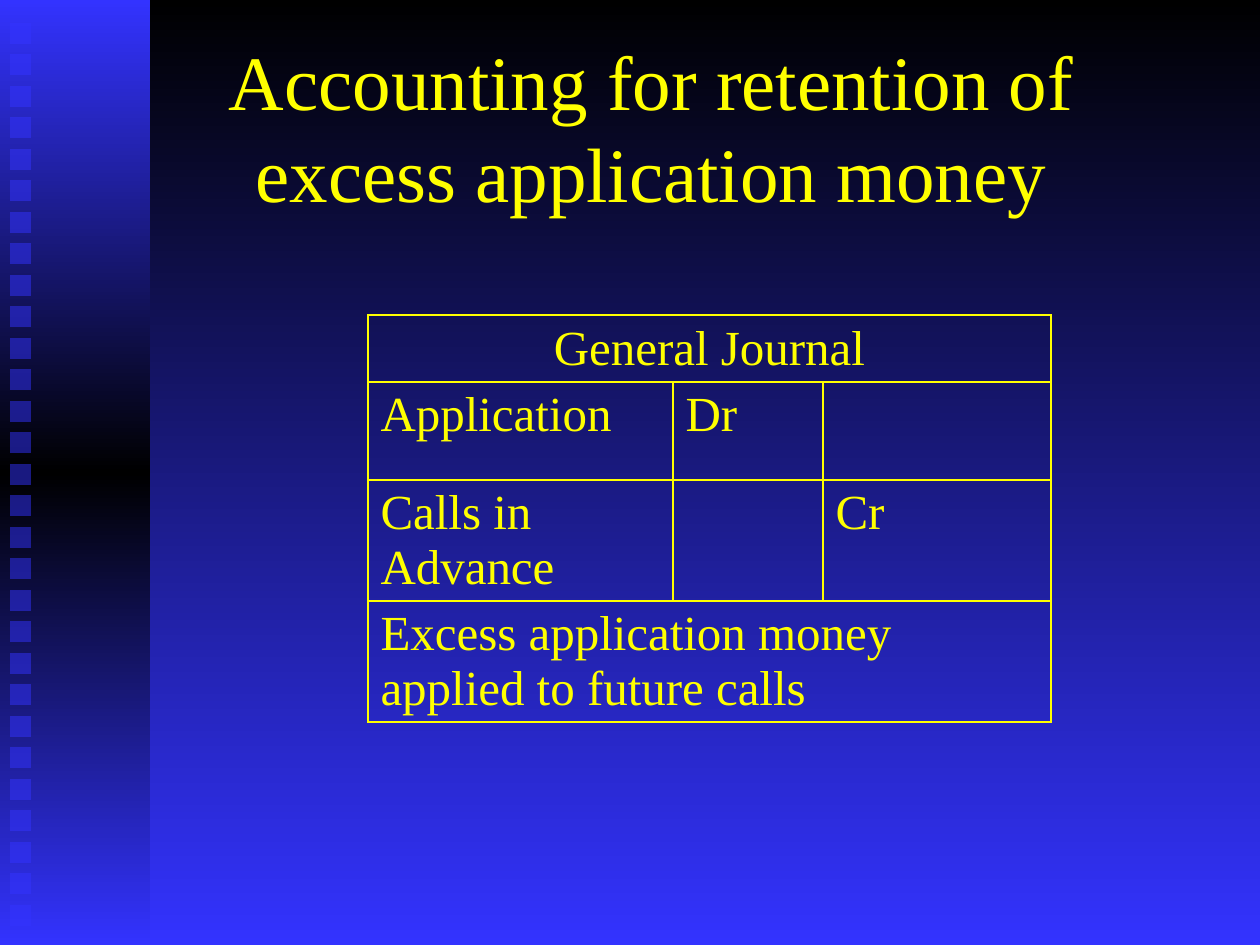
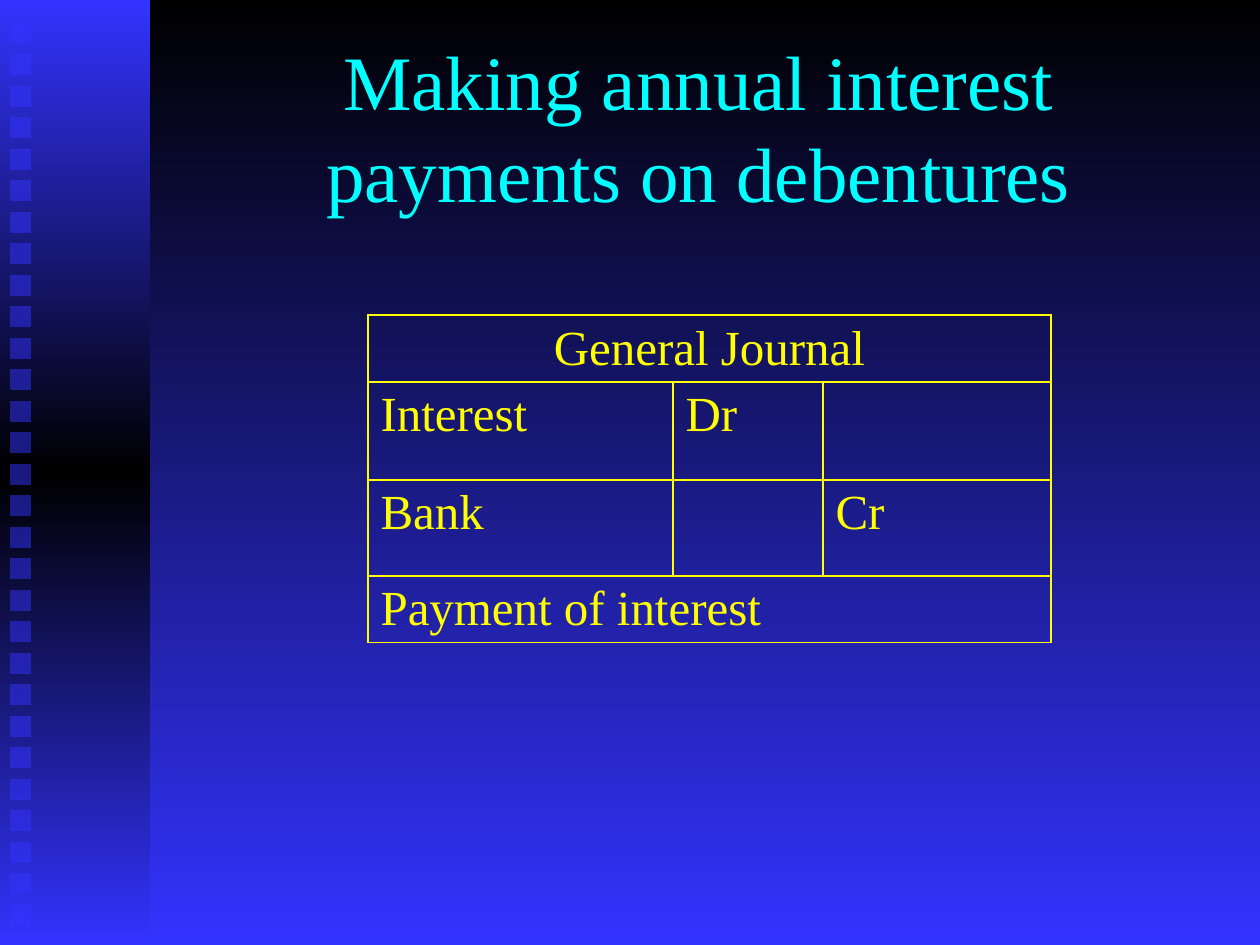
from copy import deepcopy
from dataclasses import dataclass

from lxml import etree
from pptx import Presentation
from pptx.dml.color import RGBColor
from pptx.enum.shapes import MSO_SHAPE
from pptx.enum.text import MSO_ANCHOR, MSO_AUTO_SIZE, PP_ALIGN
from pptx.oxml.ns import qn
from pptx.util import Emu, Pt

RECT = MSO_SHAPE.RECTANGLE
MIDDLE = MSO_ANCHOR.MIDDLE
NO_AUTOFIT = MSO_AUTO_SIZE.NONE
LEFT, CENTER = PP_ALIGN.LEFT, PP_ALIGN.CENTER

BLACK = RGBColor(0x00, 0x00, 0x00)
BLUE = RGBColor(0x33, 0x33, 0xFF)
YELLOW = RGBColor(0xFF, 0xFF, 0x00)
CYAN = RGBColor(0x00, 0xFF, 0xFF)

FONT = "Times New Roman"
TITLE_SIZE = Pt(44)
TABLE_SIZE = Pt(28)
BORDER_WIDTH = Pt(1)
BORDER_TAGS = ("a:lnL", "a:lnR", "a:lnT", "a:lnB")

PX = 914400 / 126
SLIDE_W, SLIDE_H = 1260, 945
BAND_W = 150
SQUARE_COUNT, SQUARE_LEFT, SQUARE_TOP, SQUARE_SIZE = 29, 10, 23, 21
TITLE_TOP, TITLE_RIGHT, TITLE_H = 42, 1187, 168
TABLE_LEFT, TABLE_TOP = 368, 315
COL_WIDTHS = (305, 150, 228)
ROW_HEIGHTS = (54, 98, 96, 58)


@dataclass(frozen=True)
class JournalSlide:
    title: str
    title_left: int
    title_color: RGBColor
    debit: str
    credit: str
    narration: str


SLIDES = (
    JournalSlide("Accounting for retention of excess application money",
                 116, YELLOW, "Application", "Calls in Advance",
                 "Excess application money applied to future calls"),
    JournalSlide("Making annual interest payments on debentures",
                 210, CYAN, "Interest", "Bank", "Payment of interest"),
)


def px(value: int) -> Emu:
    return Emu(round(value * PX))


def set_gradient(fill, start: RGBColor, end: RGBColor) -> None:
    fill.gradient()
    fill.gradient_angle = 270
    for stop, color in zip(fill.gradient_stops, (start, end)):
        stop.color.rgb = color


def add_rect(slide, left: int, top: int, width: int, height: int):
    sp = slide.shapes.add_shape(RECT, px(left), px(top), px(width), px(height))
    sp.shadow.inherit = False
    sp.line.fill.background()
    return sp


def add_band(slide):
    sp = add_rect(slide, 0, 0, BAND_W, SLIDE_H)
    set_gradient(sp.fill, BLUE, BLACK)
    stops = sp.element.spPr.find(".//" + qn("a:gsLst"))
    stops[1].set("pos", "50000")
    last = deepcopy(stops[0])
    last.set("pos", "100000")
    stops.append(last)
    return sp


def add_square(slide, index: int):
    top = SQUARE_TOP + index * 63 // 2
    sp = add_rect(slide, SQUARE_LEFT, top, SQUARE_SIZE, SQUARE_SIZE)
    sp.fill.solid()
    sp.fill.fore_color.rgb = BLUE
    color = sp.element.spPr.find(".//" + qn("a:srgbClr"))
    etree.SubElement(color, qn("a:alpha"), val="50000")
    return sp


def decorate_layout(slide) -> None:
    layout = slide.slide_layout
    set_gradient(layout.slide_master.background.fill, BLACK, BLUE)
    shapes = [add_band(slide)]
    shapes += [add_square(slide, i) for i in range(SQUARE_COUNT)]
    for sp in shapes:
        layout.shapes.element.append(sp.element)


def format_text(tf, size: Pt, color: RGBColor, align: PP_ALIGN) -> None:
    for p in tf.paragraphs:
        p.alignment = align
        for r in p.runs:
            r.font.name = FONT
            r.font.size = size
            r.font.color.rgb = color


def set_title(slide, item: JournalSlide) -> None:
    sp = slide.shapes.title
    sp.left, sp.top = px(item.title_left), px(TITLE_TOP)
    sp.width, sp.height = px(TITLE_RIGHT - item.title_left), px(TITLE_H)
    tf = sp.text_frame
    tf.text = item.title
    tf.word_wrap = True
    tf.auto_size = NO_AUTOFIT
    tf.vertical_anchor = MIDDLE
    format_text(tf, TITLE_SIZE, item.title_color, CENTER)


def set_borders(cell) -> None:
    tc_pr = cell._tc.get_or_add_tcPr()
    for index, tag in enumerate(BORDER_TAGS):
        line = etree.Element(qn(tag), w=str(BORDER_WIDTH))
        fill = etree.SubElement(line, qn("a:solidFill"))
        etree.SubElement(fill, qn("a:srgbClr"), val=str(YELLOW))
        tc_pr.insert(index, line)


def add_journal(slide, item: JournalSlide) -> None:
    rows = (
        ("General Journal", "", ""),
        (item.debit, "Dr", ""),
        (item.credit, "", "Cr"),
        (item.narration, "", ""),
    )
    frame = slide.shapes.add_table(
        len(rows), len(COL_WIDTHS), px(TABLE_LEFT), px(TABLE_TOP),
        px(sum(COL_WIDTHS)), px(sum(ROW_HEIGHTS)))
    table = frame.table
    table.first_row = False
    table.horz_banding = False
    for column, width in zip(table.columns, COL_WIDTHS):
        column.width = px(width)
    for row, height in zip(table.rows, ROW_HEIGHTS):
        row.height = px(height)
    for r, texts in enumerate(rows):
        for c, text in enumerate(texts):
            cell = table.cell(r, c)
            cell.fill.background()
            set_borders(cell)
            if text:
                cell.text_frame.text = text
                align = CENTER if r == 0 else LEFT
                format_text(cell.text_frame, TABLE_SIZE, YELLOW, align)
    for r in (0, len(rows) - 1):
        table.cell(r, 0).merge(table.cell(r, len(COL_WIDTHS) - 1))


def main() -> None:
    prs = Presentation()
    prs.slide_width, prs.slide_height = px(SLIDE_W), px(SLIDE_H)
    title_only = prs.slide_layouts.get_by_name("Title Only")
    for index, item in enumerate(SLIDES):
        slide = prs.slides.add_slide(title_only)
        if index == 0:
            decorate_layout(slide)
        set_title(slide, item)
        add_journal(slide, item)
    prs.save("out.pptx")


if __name__ == "__main__":
    main()
